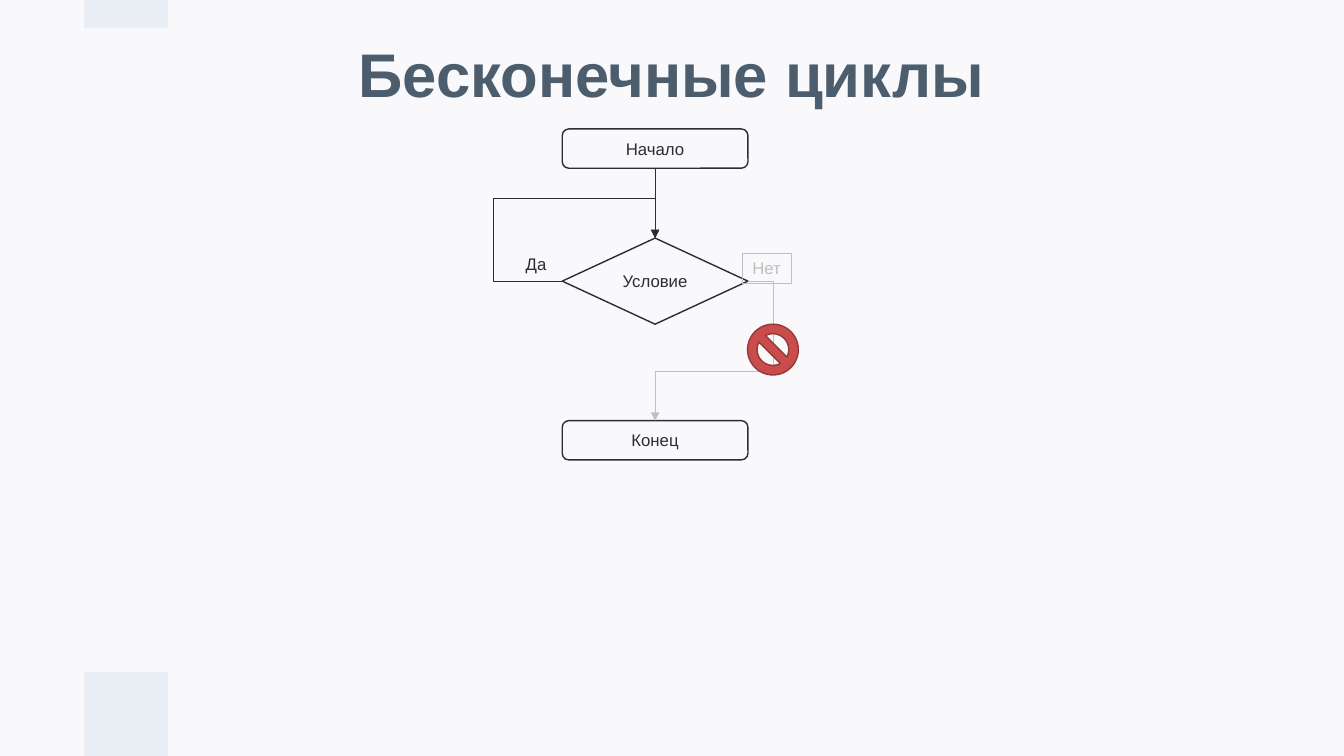
from lxml.etree import SubElement
from pptx import Presentation
from pptx.dml.color import RGBColor
from pptx.enum.shapes import MSO_CONNECTOR, MSO_SHAPE
from pptx.enum.text import MSO_ANCHOR, MSO_AUTO_SIZE, PP_ALIGN
from pptx.oxml.ns import qn
from pptx.util import Cm, Pt

COLORS = {
    "back": "F9F9FB", "title": "4C5D6E", "block": "E9EDF4", "ink": "2C2D30",
    "muted": "BFBFBF", "stop": "C94D4C", "edge": "953938",
}
AXIS = 16.51
WIDTH = 4.68
TOP, LEFT, BOTTOM, RIGHT = range(4)


def color(name):
    return RGBColor.from_string(COLORS[name])


def style(para, size, name, bold=False):
    font = para.font
    font.name, font.size, font.bold = "Arial", Pt(size), bold
    font.color.rgb = color(name)


def add_title(slide, text):
    title = slide.shapes.title
    title.left, title.top = Cm(4.24), Cm(1.02)
    title.width, title.height = Cm(25.38), Cm(1.85)
    frame = title.text_frame
    frame.text = text
    frame.auto_size = MSO_AUTO_SIZE.NONE
    frame.vertical_anchor = MSO_ANCHOR.MIDDLE
    frame.margin_left = frame.margin_right = Cm(0.33)
    frame.margin_top = frame.margin_bottom = Cm(0.33)
    para = frame.paragraphs[0]
    para.alignment, para.line_spacing = PP_ALIGN.CENTER, 0.9
    style(para, 44, "title", True)


def add_shape(slide, kind, left, top, width, height, fill, line=None):
    shape = slide.shapes.add_shape(
        kind, Cm(left), Cm(top), Cm(width), Cm(height))
    shape.shadow.inherit = False
    shape.fill.solid()
    shape.fill.fore_color.rgb = color(fill)
    if line:
        shape.line.color.rgb = color(line)
        shape.line.width = Pt(1)
    else:
        shape.line.fill.background()
    return shape


def add_step(slide, kind, top, height, text):
    step = add_shape(slide, kind, AXIS - WIDTH / 2, top, WIDTH, height,
                     "back", "ink")
    frame = step.text_frame
    frame.text = text
    frame.vertical_anchor = MSO_ANCHOR.MIDDLE
    para = frame.paragraphs[0]
    para.alignment = PP_ALIGN.CENTER
    style(para, 12, "ink")
    return step


def add_label(slide, left, top, width, text, name):
    label = slide.shapes.add_textbox(Cm(left), Cm(top), Cm(width), Cm(0.77))
    frame = label.text_frame
    frame.text = text
    frame.word_wrap = False
    frame.auto_size = MSO_AUTO_SIZE.SHAPE_TO_FIT_TEXT
    style(frame.paragraphs[0], 12, name)
    return label


def add_arrow(slide, start, side, end, name, bends=()):
    kind = MSO_CONNECTOR.ELBOW if bends else MSO_CONNECTOR.STRAIGHT
    arrow = slide.shapes.add_connector(kind, 0, 0, 0, 0)
    arrow.begin_connect(start, side)
    arrow.end_connect(end, TOP)
    arrow.line.color.rgb = color(name)
    arrow.line.width = Pt(0.5)
    props = arrow._element.spPr
    SubElement(props.find(qn("a:ln")), qn("a:tailEnd"), type="triangle")
    SubElement(props, qn("a:effectLst"))
    if bends:
        geom = props.find(qn("a:prstGeom"))
        geom.set("prst", "bentConnector4")
        guides = geom.find(qn("a:avLst"))
        for num, bend in enumerate(bends, 1):
            SubElement(guides, qn("a:gd"), name=f"adj{num}",
                       fmla=f"val {round(bend * 100000)}")


def main():
    """Build the slide about endless loops."""
    deck = Presentation()
    deck.slide_width, deck.slide_height = Cm(33.87), Cm(19.05)
    slide = deck.slides.add_slide(deck.slide_layouts[5])
    slide.background.fill.solid()
    slide.background.fill.fore_color.rgb = color("back")
    add_title(slide, "Бесконечные циклы")

    for top, height in ((16.93, 2.12), (0, 0.71)):
        add_shape(slide, MSO_SHAPE.RECTANGLE, 2.12, top, 2.12, height, "block")

    start = add_step(slide, MSO_SHAPE.ROUNDED_RECTANGLE, 3.25, 0.99, "Начало")
    test = add_step(slide, MSO_SHAPE.DIAMOND, 6, 2.17, "Условие")
    end = add_step(slide, MSO_SHAPE.ROUNDED_RECTANGLE, 10.6, 0.99, "Конец")

    label = add_label(slide, 18.71, 6.38, 1.24, "Нет", "muted")
    label.line.color.rgb = color("muted")
    label.line.width = Pt(0.75)
    add_arrow(slide, start, BOTTOM, test, "ink")
    add_arrow(slide, test, RIGHT, end, "muted", (-0.27, 0.65))
    add_label(slide, 13, 6.28, 1.04, "Да", "ink")
    add_arrow(slide, test, LEFT, test, "ink", (-0.74, 1.93))
    add_shape(slide, MSO_SHAPE.NO_SYMBOL, 18.84, 8.17, 1.28, 1.28,
              "stop", "edge")
    deck.save("out.pptx")


if __name__ == "__main__":
    main()
